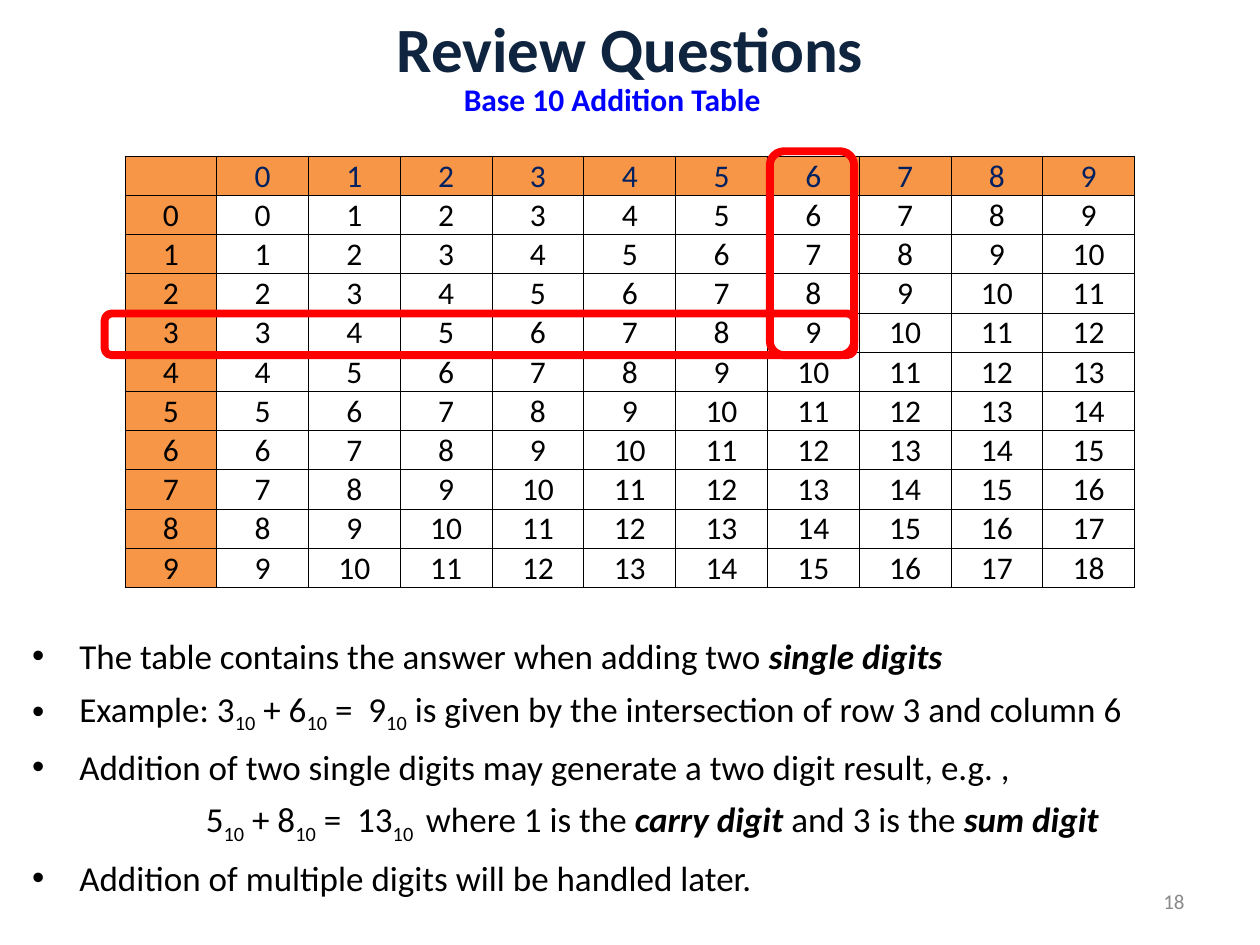
from lxml.etree import SubElement
from pptx import Presentation
from pptx.dml.color import RGBColor
from pptx.enum.shapes import MSO_SHAPE
from pptx.enum.text import MSO_ANCHOR, PP_ALIGN
from pptx.oxml.ns import qn
from pptx.util import Cm, Pt

BLACK = RGBColor(0x00, 0x00, 0x00)
WHITE = RGBColor(0xFF, 0xFF, 0xFF)
NAVY = RGBColor(0x0F, 0x24, 0x3E)
HEADER_BLUE = RGBColor(0x00, 0x20, 0x60)
BLUE = RGBColor(0x00, 0x00, 0xFF)
ORANGE = RGBColor(0xF7, 0x96, 0x46)
RED = RGBColor(0xFF, 0x00, 0x00)
GRAY = RGBColor(0x89, 0x89, 0x89)

PLAIN, SUBSCRIPT, STRONG = "plain", "subscript", "strong"

STATEMENTS = [
    (True, [("The table contains the answer when adding two ", PLAIN), ("single digits", STRONG)]),
    (True, [
        ("Example: 3", PLAIN), ("10", SUBSCRIPT), (" + 6", PLAIN), ("10", SUBSCRIPT),
        (" =  9", PLAIN), ("10", SUBSCRIPT),
        (" is given by the intersection of row 3 and column 6", PLAIN),
    ]),
    (True, [("Addition of two single digits may generate a two digit result, e.g. ,", PLAIN)]),
    (False, [
        ("5", PLAIN), ("10", SUBSCRIPT), (" + 8", PLAIN), ("10", SUBSCRIPT),
        (" =  13", PLAIN), ("10 ", SUBSCRIPT), (" where 1 is the ", PLAIN),
        ("carry digit ", STRONG), ("and 3 is the ", PLAIN), ("sum digit", STRONG),
    ]),
    (True, [("Addition of multiple digits will be handled later.", PLAIN)]),
]


class SlideBuilder:
    font_name = "Calibri"

    def __init__(self, slide):
        self.slide = slide

    def style(self, paragraph, size, color, align, bold=None):
        paragraph.alignment = align
        paragraph.font.name = self.font_name
        paragraph.font.size = Pt(size)
        paragraph.font.bold = bold
        paragraph.font.color.rgb = color

    def frame(self, left, top, width, height, anchor, wrap=True):
        box = self.slide.shapes.add_textbox(Cm(left), Cm(top), Cm(width), Cm(height))
        box.text_frame.word_wrap = wrap
        box.text_frame.vertical_anchor = anchor
        return box.text_frame

    def label(self, text, left, top, width, height, size, color, align,
              bold=None, anchor=MSO_ANCHOR.MIDDLE, wrap=True):
        paragraph = self.frame(left, top, width, height, anchor, wrap).paragraphs[0]
        paragraph.add_run().text = text
        self.style(paragraph, size, color, align, bold)

    def statements(self, items, left, top, width, height):
        text_frame = self.frame(left, top, width, height, MSO_ANCHOR.TOP)
        for index, (bulleted, runs) in enumerate(items):
            paragraph = text_frame.add_paragraph() if index else text_frame.paragraphs[0]
            if index:
                paragraph.space_before = Pt(6)
            else:
                paragraph.line_spacing = 1.2
            properties = paragraph._p.get_or_add_pPr()
            properties.set("marL", str(Cm(0.95 if bulleted else 3.5)))
            properties.set("indent", str(Cm(-0.95 if bulleted else 0)))
            if bulleted:
                SubElement(properties, qn("a:buFont")).set("typeface", "Arial")
                SubElement(properties, qn("a:buChar")).set("char", "•")
            else:
                SubElement(properties, qn("a:buNone"))
            for text, kind in runs:
                run = paragraph.add_run()
                run.text = text
                if kind == STRONG:
                    run.font.bold = run.font.italic = True
                elif kind == SUBSCRIPT:
                    run._r.get_or_add_rPr().set("baseline", "-25000")
            self.style(paragraph, 20, BLACK, PP_ALIGN.JUSTIFY)

    def cell(self, cell, text, fill, color):
        cell.margin_left = cell.margin_right = cell.margin_top = Cm(0.02)
        cell.margin_bottom = 0
        cell.vertical_anchor = MSO_ANCHOR.BOTTOM
        properties = cell._tc.get_or_add_tcPr()
        for side in ("a:lnL", "a:lnR", "a:lnT", "a:lnB"):
            line = SubElement(properties, qn(side), w=str(Pt(0.5)))
            solid = SubElement(line, qn("a:solidFill"))
            SubElement(solid, qn("a:srgbClr"), val=str(BLACK))
        cell.fill.solid()
        cell.fill.fore_color.rgb = fill
        paragraph = cell.text_frame.paragraphs[0]
        if text:
            paragraph.add_run().text = text
        self.style(paragraph, 18, color, PP_ALIGN.CENTER)

    def addition_table(self, base, left, top, column_width, row_height):
        count = base + 1
        table = self.slide.shapes.add_table(
            count, count, Cm(left), Cm(top), Cm(column_width * count), Cm(row_height * count)
        ).table
        for column in table.columns:
            column.width = Cm(column_width)
        for row in table.rows:
            row.height = Cm(row_height)
        for row in range(count):
            for column in range(count):
                text = str(max(row - 1, 0) + max(column - 1, 0)) if row or column else ""
                fill = WHITE if row and column else ORANGE
                self.cell(table.cell(row, column), text, fill, BLACK if row else HEADER_BLUE)

    def highlight(self, left, top, width, height):
        shape = self.slide.shapes.add_shape(
            MSO_SHAPE.ROUNDED_RECTANGLE, Cm(left), Cm(top), Cm(width), Cm(height)
        )
        shape.shadow.inherit = False
        shape.fill.background()
        shape.line.color.rgb = RED
        shape.line.width = Pt(4.5)


def main():
    presentation = Presentation()
    presentation.slide_width = Cm(25.4)
    presentation.slide_height = Cm(19.05)
    builder = SlideBuilder(presentation.slides.add_slide(presentation.slide_layouts[6]))

    builder.label("Review Questions", 0, 0, 25.4, 1.9, 36, NAVY, PP_ALIGN.CENTER, bold=True)
    builder.label("18", 18.2, 17.66, 5.93, 1.01, 12, GRAY, PP_ALIGN.RIGHT)
    builder.addition_table(10, 2.52, 3.15, 1.85, 0.79)
    builder.statements(STATEMENTS, 0.4, 12.5, 23.93, 4.45)
    builder.label("Base 10 Addition Table", 9.07, 1.48, 6.55, 1.27, 18, BLUE,
                  PP_ALIGN.CENTER, bold=True, anchor=MSO_ANCHOR.TOP, wrap=False)
    builder.highlight(2.11, 6.32, 15.11, 0.84)
    builder.highlight(15.52, 3.05, 1.7, 4.11)

    presentation.save("out.pptx")


if __name__ == "__main__":
    main()
